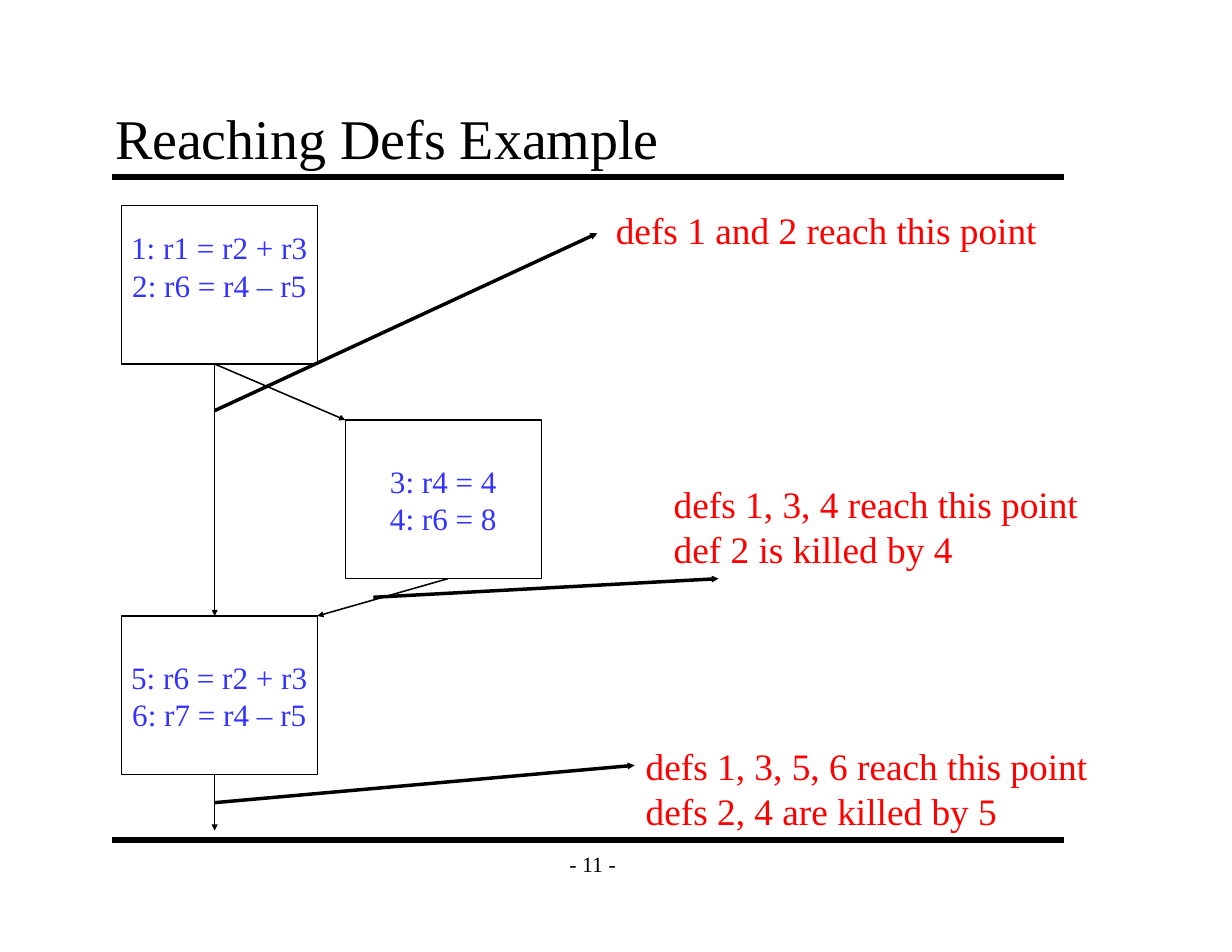
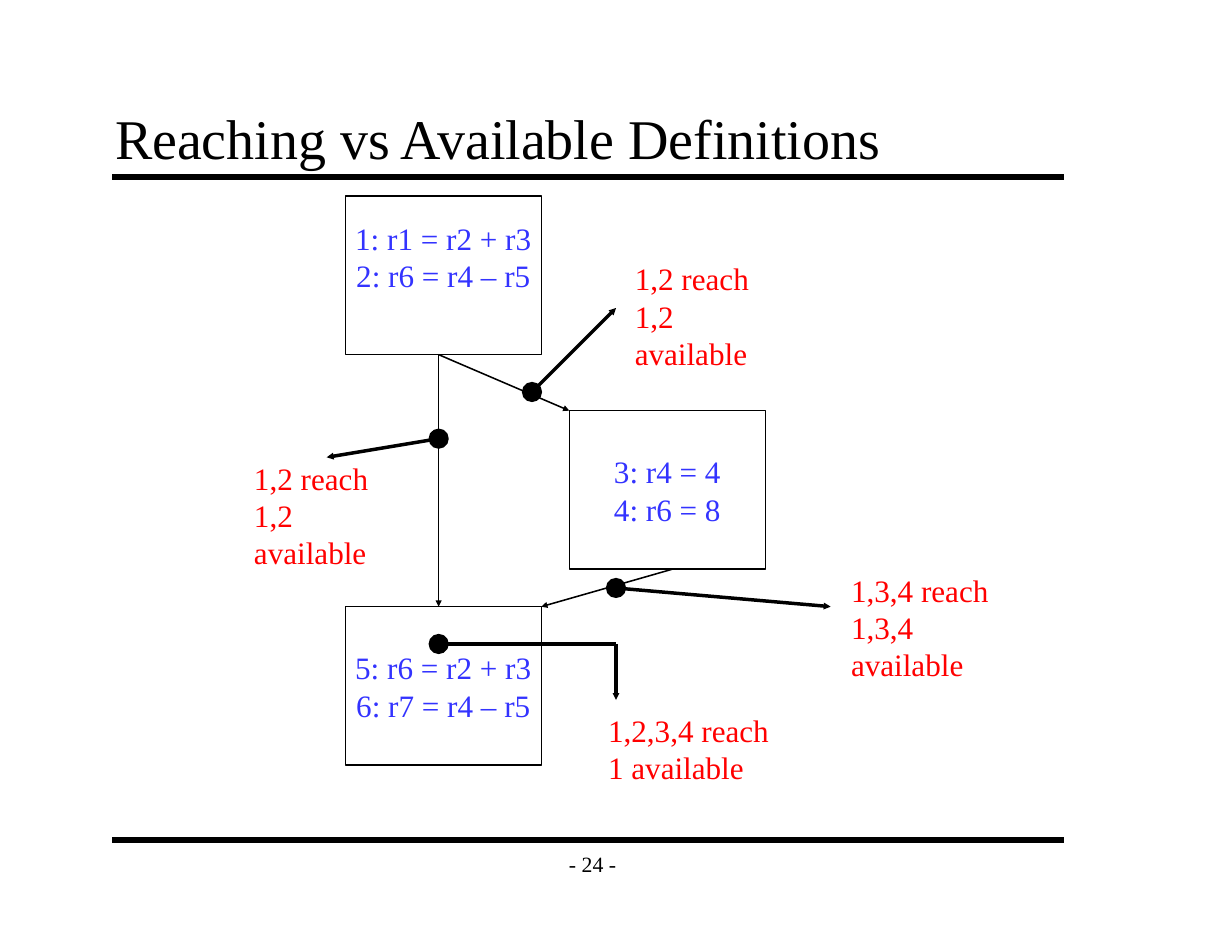
from pptx import Presentation
from pptx.dml.color import RGBColor
from pptx.enum.shapes import MSO_CONNECTOR, MSO_SHAPE
from pptx.enum.text import MSO_ANCHOR, PP_ALIGN
from pptx.oxml.ns import qn
from pptx.util import Pt
from lxml.etree import SubElement

BLACK = RGBColor(0x00, 0x00, 0x00)
BLUE = RGBColor(0x33, 0x33, 0xFF)
RED = RGBColor(0xFF, 0x00, 0x00)
FONT = "Times New Roman"
BLOCK_WIDTH, BLOCK_HEIGHT = 126, 102
DOT = 12
THIN, THICK, RULE = 1, 2.25, 4

BLOCKS = [
    (78, 132, ["1: r1 = r2 + r3", "2: r6 = r4 – r5"], 27.6),
    (222, 270, ["3: r4 = 4", "4: r6 = 8"], 3.6),
    (78, 396, ["5: r6 = r2 + r3", "6: r7 = r4 – r5"], 3.6),
]
FLOW = [(138, 234, 222, 270), (138, 234, 138, 396), (288, 372, 204, 396)]

PAGES = [
    {
        "title": "Reaching Defs Example",
        "number": 11,
        "shift": (0, 0),
        "flow": FLOW + [(138, 498, 138, 534)],
        "pointers": [(240, 384, 462, 372), (138, 264, 384, 150), (138, 516, 408, 492)],
        "stems": [],
        "dots": [],
        "label_size": 24,
        "labels": [
            (388.8, 129.6, 300, ["defs 1 and 2 reach this point"]),
            (426, 306, 300, ["defs 1, 3, 4 reach this point", "def 2 is killed by 4"]),
            (408, 474, 310, ["defs 1, 3, 5, 6 reach this point", "defs 2, 4 are killed by 5"]),
        ],
    },
    {
        "title": "Reaching vs Available Definitions",
        "number": 24,
        "shift": (144, -6),
        "flow": FLOW,
        "pointers": [(342, 252, 396, 198), (396, 414, 396, 450),
                     (396, 378, 534, 390), (282, 282, 210, 294)],
        "stems": [(288, 414, 396, 414)],
        "dots": [(282, 414), (282, 282), (342, 252), (396, 378)],
        "label_size": 20,
        "labels": [
            (383.8, 453.6, 130, ["1,2,3,4 reach", "1 available"]),
            (401, 163.4, 106, ["1,2 reach", "1,2 available"]),
            (540, 363.6, 120, ["1,3,4 reach", "1,3,4 available"]),
            (156.2, 291.6, 106, ["1,2 reach", "1,2 available"]),
        ],
    },
]


def write(shape, lines, size, color, align=PP_ALIGN.LEFT, anchor=MSO_ANCHOR.TOP, wrap=True):
    frame = shape.text_frame
    frame.word_wrap = wrap
    frame.vertical_anchor = anchor
    frame.text = "\n".join(lines)
    for paragraph in frame.paragraphs:
        paragraph.alignment = align
        paragraph.font.name = FONT
        paragraph.font.size = Pt(size)
        paragraph.font.color.rgb = color
    return frame


def draw_line(page, ends, width, arrow=False):
    line = page.shapes.add_connector(MSO_CONNECTOR.STRAIGHT, *[Pt(end) for end in ends])
    line.line.color.rgb = BLACK
    line.line.width = Pt(width)
    if arrow:
        SubElement(line.line._get_or_add_ln(), qn("a:tailEnd"), type="triangle", w="sm", len="sm")
    SubElement(line._element.spPr, qn("a:effectLst"))


deck = Presentation()
deck.slide_width = Pt(792)
deck.slide_height = Pt(612)

for content in PAGES:
    page = deck.slides.add_slide(deck.slide_layouts[6])
    shapes = page.shapes

    for height in (114, 540):
        draw_line(page, (72, height, 684, height), RULE)

    footer = shapes.add_textbox(Pt(354), Pt(540), Pt(54), Pt(30))
    write(footer, [f"- {content['number']} -"], 14, BLACK,
          PP_ALIGN.CENTER, MSO_ANCHOR.MIDDLE, wrap=False)

    title = shapes.add_textbox(Pt(66), Pt(65.5), Pt(612), Pt(48))
    frame = write(title, [content["title"]], 36, BLACK, anchor=MSO_ANCHOR.BOTTOM)
    frame.margin_left = frame.margin_right = Pt(8)
    frame.margin_top = frame.margin_bottom = Pt(4)

    shift_x, shift_y = content["shift"]
    for left, top, lines, bottom_margin in BLOCKS:
        block = shapes.add_shape(MSO_SHAPE.RECTANGLE, Pt(left + shift_x), Pt(top + shift_y),
                                 Pt(BLOCK_WIDTH), Pt(BLOCK_HEIGHT))
        block.shadow.inherit = False
        block.fill.background()
        block.line.color.rgb = BLACK
        block.line.width = Pt(THIN)
        frame = write(block, lines, 20, BLUE, PP_ALIGN.CENTER, MSO_ANCHOR.MIDDLE, wrap=False)
        frame.margin_bottom = Pt(bottom_margin)

    for x1, y1, x2, y2 in content["flow"]:
        draw_line(page, (x1 + shift_x, y1 + shift_y, x2 + shift_x, y2 + shift_y), THIN, arrow=True)
    for ends in content["stems"]:
        draw_line(page, ends, THICK)
    for ends in content["pointers"]:
        draw_line(page, ends, THICK, arrow=True)

    for left, top, width, lines in content["labels"]:
        label = shapes.add_textbox(Pt(left), Pt(top), Pt(width), Pt(36 if len(lines) == 1 else 60))
        write(label, lines, content["label_size"], RED)

    for x, y in content["dots"]:
        dot = shapes.add_shape(MSO_SHAPE.OVAL, Pt(x - DOT / 2), Pt(y - DOT / 2), Pt(DOT), Pt(DOT))
        dot.shadow.inherit = False
        dot.fill.solid()
        dot.fill.fore_color.rgb = BLACK
        dot.line.color.rgb = BLACK
        dot.line.width = Pt(THIN)

deck.save("out.pptx")
